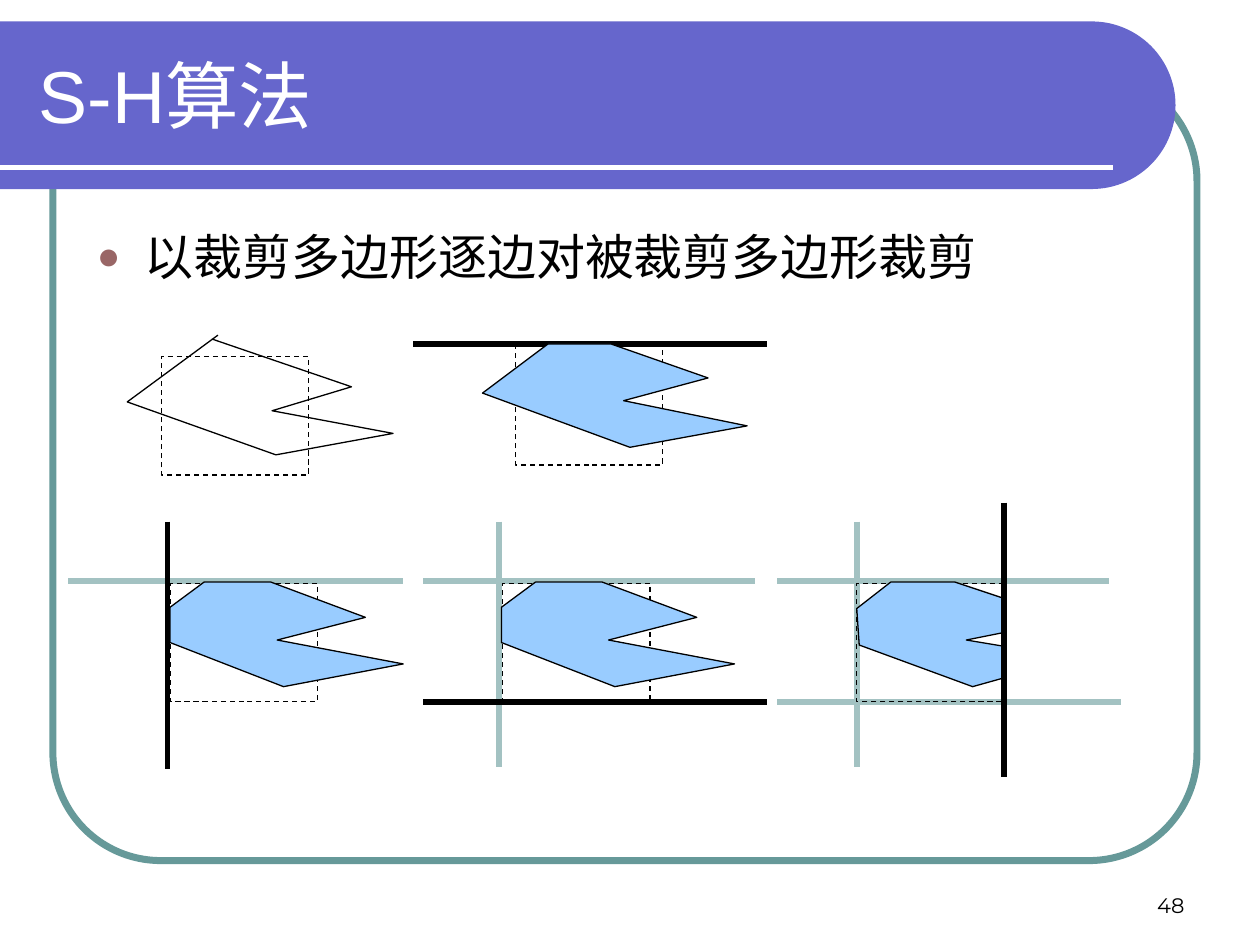
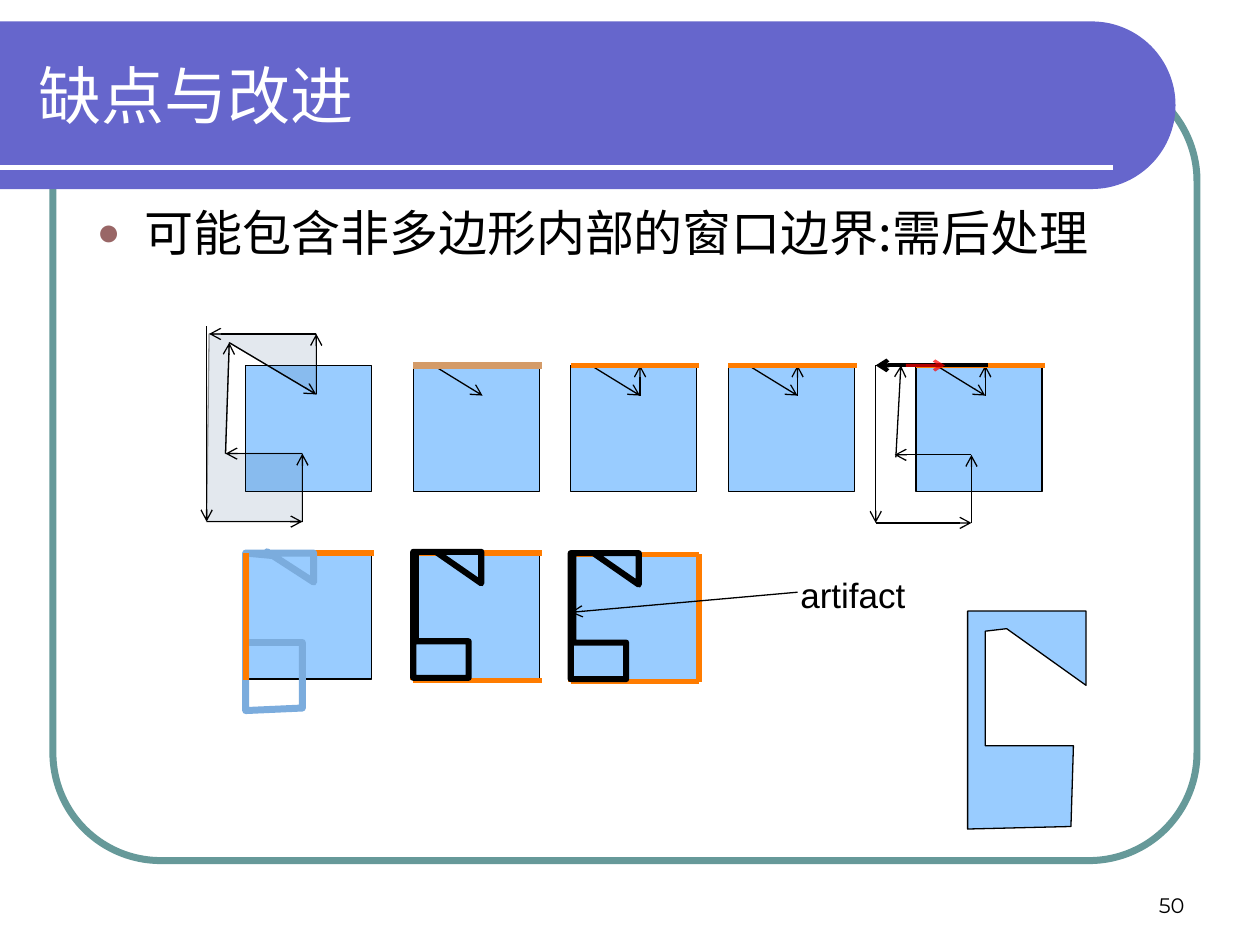
import math
from dataclasses import dataclass
from itertools import pairwise
from typing import NamedTuple

from lxml import etree
from pptx import Presentation
from pptx import util as u
from pptx.dml.color import RGBColor
from pptx.enum import dml, shapes, text
from pptx.oxml.ns import qn

PX = 9144
GRID = 100
Point = tuple[float, float]


class Paint(NamedTuple):
    color: str
    alpha: int = 100


@dataclass(frozen=True)
class Theme:
    band: Paint = Paint("6666CC")
    frame: Paint = Paint("669999")
    bullet: str = "996666"
    white: Paint = Paint("FFFFFF")
    ink: Paint = Paint("000000")
    sky: Paint = Paint("99CCFF")
    past: Paint = Paint("A3C2C2")
    cut: Paint = Paint("FF7C00")
    first_cut: Paint = Paint("D49B68")
    trace: Paint = Paint("7BACDD")
    shade: Paint = Paint("003366", 11)
    faint: Paint = Paint("000000", 40)
    red: Paint = Paint("FF0000", 69)
    latin: str = "Arial"
    chinese: str = "Noto Sans CJK SC"
    number: str = "Montserrat"
    body_size: int = 28
    label_size: int = 20
    number_size: int = 12


THEME = Theme()


class Style(NamedTuple):
    line: Paint = THEME.ink
    width: float = 0.75
    fill: Paint | None = None
    dashed: bool = False
    arrow: bool = False


class Box(NamedTuple):
    left: int
    top: int
    width: int
    height: int
    style: Style


class Outline(NamedTuple):
    points: list[Point]
    style: Style
    closed: bool = True


class Chain(NamedTuple):
    points: list[Point]
    style: Style


class Label(NamedTuple):
    words: str
    left: int
    top: int
    width: int
    height: int
    font: str
    size: int
    color: Paint = THEME.ink
    anchor: text.MSO_ANCHOR = text.MSO_ANCHOR.TOP
    align: text.PP_ALIGN = text.PP_ALIGN.LEFT
    bullet: bool = False
    wrap: bool = True


Item = Box | Outline | Chain | Label

WINDOW = Style(dashed=True)
SOLID = Style(fill=THEME.sky)
ARROW = Style(arrow=True)
ACTIVE = Style(width=3.25)
PAST = Style(THEME.past, 3.25)
CUT = Style(THEME.cut, 3.25)
FIRST_CUT = Style(THEME.first_cut, 3.75)
RESULT = Style(width=3.5, fill=THEME.sky)


def assign(target, values: dict) -> None:
    for name, value in values.items():
        setattr(target, name, value)


def fade(properties, route: str, paint: Paint) -> None:
    if paint.alpha < 100:
        color = properties.find("/".join(qn(step) for step in route.split()))
        etree.SubElement(color, qn("a:alpha"), val=str(paint.alpha * 1000))


def stroke(shape, style: Style) -> None:
    properties = shape.element.spPr
    line = shape.line
    line.color.rgb = RGBColor.from_string(style.line.color)
    line.width = u.Pt(style.width)
    fade(properties, "a:ln a:solidFill a:srgbClr", style.line)
    if style.dashed:
        line.dash_style = dml.MSO_LINE.DASH
    if style.arrow:
        etree.SubElement(properties.find(qn("a:ln")), qn("a:tailEnd"), type="arrow")


def finish(shape, style: Style) -> None:
    shape.shadow.inherit = False
    if style.fill:
        shape.fill.solid()
        shape.fill.fore_color.rgb = RGBColor.from_string(style.fill.color)
        fade(shape.element.spPr, "a:solidFill a:srgbClr", style.fill)
    else:
        shape.fill.background()
    stroke(shape, style)


def draw_box(page, box: Box, dx: int = 0, dy: int = 0, corner: float = 0) -> None:
    kind = shapes.MSO_SHAPE.ROUNDED_RECTANGLE if corner else shapes.MSO_SHAPE.RECTANGLE
    place = (box.left + dx, box.top + dy, box.width, box.height)
    shape = page.shapes.add_shape(kind, *(n * PX for n in place))
    if corner:
        shape.adjustments[0] = corner
    finish(shape, box.style)


def draw_outline(page, outline: Outline, dx: int = 0, dy: int = 0) -> None:
    first, *rest = [((x + dx) * GRID, (y + dy) * GRID) for x, y in outline.points]
    builder = page.shapes.build_freeform(*first, scale=PX / GRID)
    builder.add_line_segments(rest, close=outline.closed)
    finish(builder.convert_to_shape(), outline.style)


def draw_chain(page, chain: Chain, dx: int = 0, dy: int = 0) -> None:
    for (x1, y1), (x2, y2) in pairwise(chain.points):
        ends = (x1 + dx, y1 + dy, x2 + dx, y2 + dy)
        line = page.shapes.add_connector(
            shapes.MSO_CONNECTOR.STRAIGHT, *(n * PX for n in ends))
        stroke(line, chain.style)
        etree.SubElement(line.element.spPr, qn("a:effectLst"))


def draw_label(page, label: Label, dx: int = 0, dy: int = 0) -> None:
    place = (label.left + dx, label.top + dy, label.width, label.height)
    frame = page.shapes.add_textbox(*(n * PX for n in place)).text_frame
    assign(frame, {"word_wrap": label.wrap, "vertical_anchor": label.anchor})
    para = frame.paragraphs[0]
    para.alignment = label.align
    if label.bullet:
        add_bullet(para)
    span = para.add_run()
    span.text = label.words
    assign(span.font, {"name": label.font, "size": u.Pt(label.size)})
    span.font.color.rgb = RGBColor.from_string(label.color.color)
    etree.SubElement(span.font._element, qn("a:ea"), typeface=THEME.chinese)


def add_bullet(para) -> None:
    properties = para._p.get_or_add_pPr()
    properties.set("marL", str(38 * PX))
    properties.set("indent", str(-38 * PX))
    color = etree.SubElement(properties, qn("a:buClr"))
    etree.SubElement(color, qn("a:srgbClr"), val=THEME.bullet)
    etree.SubElement(properties, qn("a:buSzPct"), val="80000")
    etree.SubElement(properties, qn("a:buFont"), typeface=THEME.latin)
    etree.SubElement(properties, qn("a:buChar"), char="●")


def draw(page, items: list[Item], dx: int = 0, dy: int = 0) -> None:
    painters = {Box: draw_box, Outline: draw_outline, Chain: draw_chain, Label: draw_label}
    for item in items:
        painters[type(item)](page, item, dx, dy)


def band_points() -> list[Point]:
    angles = [math.radians(step * 3 - 90) for step in range(61)]
    arc = [(866.5 + 66 * math.cos(a), 83.5 + 66 * math.sin(a)) for a in angles]
    return [(0, 17.5), *arc, (0, 149.5)]


def start_page(deck, title: Label, body: Label, number: int):
    page = deck.slides.add_slide(deck.slide_layouts[6])
    draw_box(page, Box(42, 58, 908, 625, Style(THEME.frame, 4)), corner=0.137)
    draw(page, [
        Outline(band_points(), Style(THEME.band, fill=THEME.band)),
        Chain([(0, 133), (883, 133)], Style(THEME.white, 3)),
        title,
        body,
        Label(str(number), 717, 683, 233, 50, THEME.number, THEME.number_size,
              anchor=text.MSO_ANCHOR.BOTTOM, align=text.PP_ALIGN.RIGHT),
    ])
    return page


def title_label(words: str, font: str, size: int) -> Label:
    return Label(words, 21, 25, 877, 100, font, size, THEME.white, text.MSO_ANCHOR.MIDDLE)


def body_label(words: str, top: int, width: int, height: int) -> Label:
    return Label(words, 67, top, width, height, THEME.chinese, THEME.body_size, bullet=True)


def window(left: int, top: int) -> Box:
    return Box(left, top, 117, 94, WINDOW)


def algorithm_page(deck) -> None:
    page = start_page(deck, title_label("S-H算法", THEME.latin, 42),
                      body_label("以裁剪多边形逐边对被裁剪多边形裁剪", 175, 824, 483), 48)
    subject = [(173, 266), (101, 319), (219, 361), (312, 344), (216, 326), (279, 307), (168, 269)]
    top_clipped = [(435, 273), (383, 312), (500, 355), (593, 338), (495, 318), (562, 300),
                   (485, 273)]
    left_clipped = Outline([(27, 0), (0, 20), (0, 48), (90, 83), (185, 65), (85, 46),
                            (155, 28), (80, 0)], SOLID)
    right_clipped = [(707, 462), (680, 483), (682, 512), (772, 545), (797, 538), (797, 513),
                     (767, 508), (797, 502), (797, 475), (758, 462)]
    draw(page, [
        window(128, 283),
        Outline(subject, Style(), closed=False),
        window(409, 275),
        Chain([(328, 273), (609, 273)], ACTIVE),
        Outline(top_clipped, SOLID),
        Chain([(54, 461), (320, 461)], PAST),
        window(135, 463),
    ])
    draw(page, [left_clipped], 135, 462)
    draw(page, [
        Chain([(133, 414), (133, 610)], ACTIVE),
        Chain([(396, 414), (396, 609)], PAST),
        Chain([(336, 461), (599, 461)], PAST),
        window(399, 463),
    ])
    draw(page, [left_clipped], 398, 462)
    draw(page, [
        Chain([(336, 557), (609, 557)], ACTIVE),
        Chain([(617, 461), (880, 461)], PAST),
        Chain([(617, 557), (890, 557)], PAST),
        Chain([(680, 414), (680, 609)], PAST),
        window(680, 463),
        Outline(right_clipped, SOLID),
        Chain([(797, 399), (797, 617)], ACTIVE),
    ])


def drawback_page(deck) -> None:
    page = start_page(deck, title_label("缺点与改进", THEME.chinese, 36),
                      body_label("可能包含非多边形内部的窗口边界:需后处理", 156, 863, 219), 50)
    square = Box(0, 0, 100, 100, SOLID)
    slant = [(16, 0), (55, 24), (55, 0)]
    top, bottom = [(0, 0), (102, 0)], [(0, 101), (102, 101)]
    left, right = [(0, 0), (0, 101)], [(102, 101), (102, 0)]
    subject = [(251, 313), (251, 265), (166, 265), (164, 414), (240, 414), (240, 360),
               (179, 360), (182, 272)]
    draw(page, [square], 195, 290)
    draw(page, [
        Outline(subject, Style(THEME.faint, fill=THEME.shade)),
        Chain([(182, 272), *subject[:3]], ARROW),
        Chain([(164, 259), *subject[3:]], ARROW),
    ])
    draw(page, [square, Chain(slant[:2], ARROW), Chain(top, FIRST_CUT)], 328, 290)
    for column in (453, 578, 727):
        draw(page, [square, Chain(slant, ARROW), Chain(top, CUT)], column, 290)
    draw(page, [
        Chain([(695, 290), (695, 415), (771, 415), (771, 361), (710, 361)], ARROW),
        Chain([(711, 363), (715, 290)], ARROW),
        Chain([(784, 290), (695, 290)], Style(width=2.25, arrow=True)),
        Chain([(719, 290), (750, 290)], Style(THEME.red, 1.75, arrow=True)),
    ])

    trace = [(17, -1), (54, 23), (54, 0), (0, 0), (0, 125), (45, 123), (45, 71), (0, 71),
             (0, 0), (22, 2)]
    result = Outline([(18, -1), (54, 24), (54, -1), (0, -1), (0, 99), (44, 99), (44, 70),
                      (2, 70), (2, -1)], RESULT)
    draw(page, [square, Chain(top, CUT), Outline(trace, Style(THEME.trace, 4)),
                Chain(left, CUT)], 195, 439)
    clipped = [square, *(Chain(edge, CUT) for edge in (top, bottom, left)), result]
    draw(page, clipped, 328, 439)
    draw(page, [*clipped, Chain(right, CUT)], 453, 440)
    improved = [(799, 499), (862, 544), (862, 485), (768, 485), (768, 658), (850, 656),
                (852, 592), (782, 592), (782, 501)]
    draw(page, [
        Label("artifact", 625, 450, 104, 44, THEME.latin, THEME.label_size,
              align=text.PP_ALIGN.CENTER, wrap=False),
        Chain([(633, 470), (453, 486)], ARROW),
        Outline(improved, SOLID),
    ])


def main() -> None:
    deck = Presentation()
    assign(deck, {"slide_width": 1000 * PX, "slide_height": 750 * PX})
    algorithm_page(deck)
    drawback_page(deck)
    deck.save("out.pptx")


if __name__ == "__main__":
    main()
